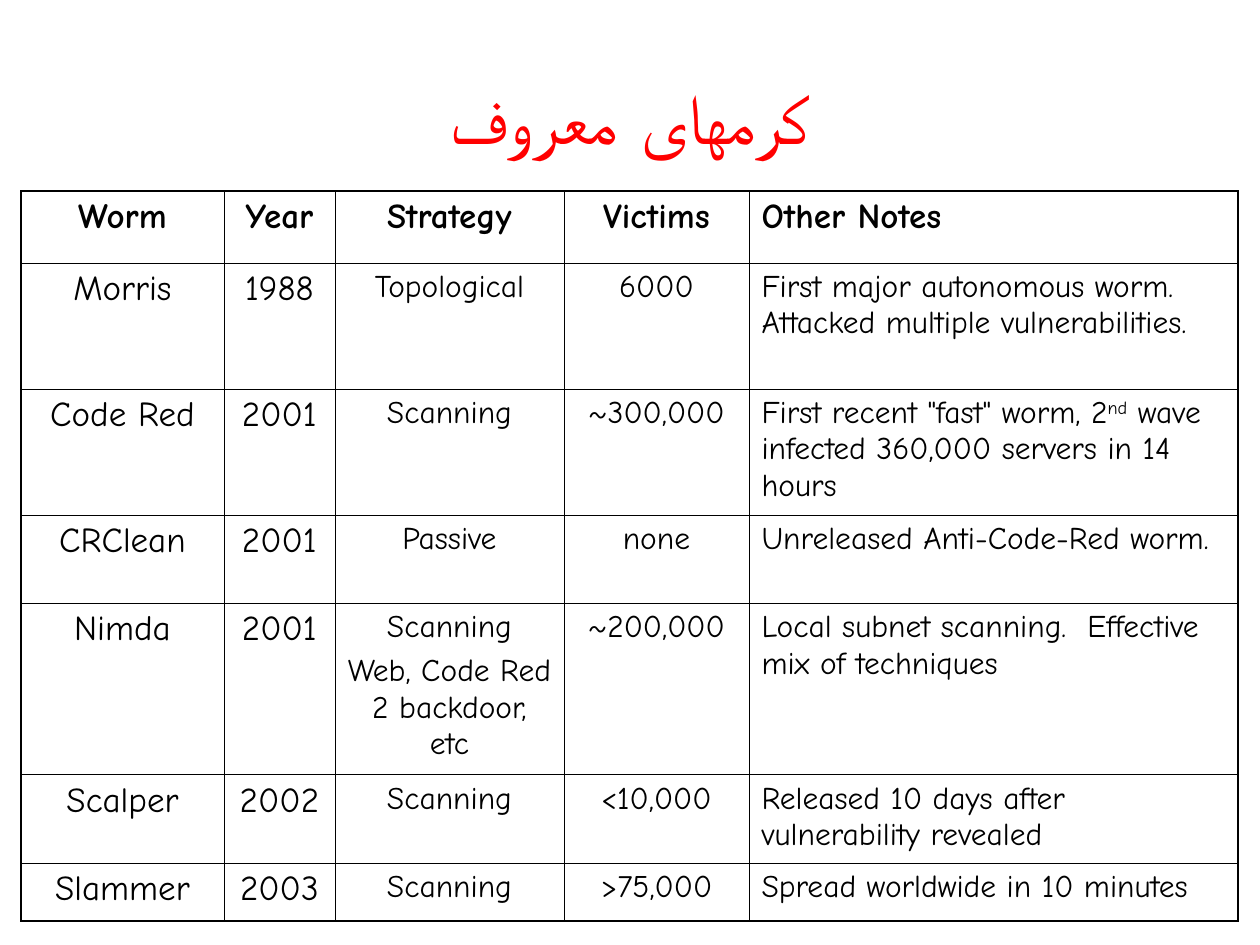
from lxml import etree
from pptx import Presentation
from pptx.dml.color import RGBColor
from pptx.enum.text import MSO_ANCHOR, PP_ALIGN
from pptx.oxml.ns import qn
from pptx.util import Pt

CENTER, LEFT = PP_ALIGN.CENTER, PP_ALIGN.LEFT
MIDDLE = MSO_ANCHOR.MIDDLE
FONT = "Comic Neue"
BLACK, RED = "000000", "FF0000"
EMU_PER_PX = 914400 / 126
THIN, THICK = 0.45, 1.08

COLUMN_WIDTHS = [203, 111, 229, 185, 489]
ROW_HEIGHTS = [72, 126, 126, 88, 171, 88, 58]
ROWS = [
    ["Worm", "Year", "Strategy", "Victims", "Other Notes"],
    ["Morris", "1988", "Topological", "6000",
     "First major autonomous worm.  Attacked multiple vulnerabilities."],
    ["Code Red", "2001", "Scanning", "~300,000",
     [("First recent \"fast\" worm, 2", 0), ("nd", 30),
      (" wave infected 360,000 servers in 14 hours", 0)]],
    ["CRClean", "2001", "Passive", "none", "Unreleased Anti-Code-Red worm."],
    ["Nimda", "2001", "Scanning\nWeb, Code Red 2 backdoor, etc", "~200,000",
     "Local subnet scanning.  Effective mix of techniques"],
    ["Scalper", "2002", "Scanning", "<10,000",
     "Released 10 days after vulnerability revealed"],
    ["Slammer", "2003", "Scanning", ">75,000", "Spread worldwide in 10 minutes"],
]


def px(length):
    """Turn pixels into EMU."""
    return round(length * EMU_PER_PX)


def color(value):
    """Turn a hex string into a colour."""
    return RGBColor.from_string(value)


def write_text(frame, text, size=18, fill=BLACK, bold=False, align=CENTER,
               before=0, after=0):
    """Write a string, or (string, baseline percent) pieces, into a text frame."""
    frame.word_wrap = True
    lines = [[(line, 0)] for line in text.split("\n")] if isinstance(text, str) else [text]
    for index, pieces in enumerate(lines):
        paragraph = frame.add_paragraph() if index else frame.paragraphs[0]
        paragraph.alignment = align
        paragraph.space_before, paragraph.space_after = Pt(before), Pt(after)
        for content, baseline in pieces:
            run = paragraph.add_run()
            run.text = content
            run.font.size, run.font.bold, run.font.name = Pt(size), bold, FONT
            run.font.color.rgb = color(fill)
            properties = run._r.get_or_add_rPr()
            etree.SubElement(properties, qn("a:cs"), typeface=FONT)
            if baseline:
                properties.set("baseline", str(baseline * 1000))


def set_borders(cell, widths):
    """Draw the cell's borders with the given widths in points by side."""
    properties = cell._tc.get_or_add_tcPr()
    for side, width in widths.items():
        line = etree.SubElement(properties, qn(f"a:ln{side}"), w=str(Pt(width)))
        solid = etree.SubElement(line, qn("a:solidFill"))
        etree.SubElement(solid, qn("a:srgbClr"), val=BLACK)


def add_title(slide, left, top, width, height):
    """Place the red heading in its box."""
    box = slide.shapes.add_textbox(px(left), px(top), px(width), px(height))
    box.text_frame.vertical_anchor = MIDDLE
    write_text(box.text_frame, "کرمهای معروف", size=40, fill=RED, before=12, after=3)


def add_worm_table(slide, left, top):
    """Place the table of worms with its upper left corner at the given point."""
    last_row, last_column = len(ROWS) - 1, len(COLUMN_WIDTHS) - 1
    table = slide.shapes.add_table(
        len(ROWS), len(COLUMN_WIDTHS), px(left), px(top),
        px(sum(COLUMN_WIDTHS)), px(sum(ROW_HEIGHTS))).table
    table.first_row = table.horz_banding = False
    for column, width in zip(table.columns, COLUMN_WIDTHS):
        column.width = px(width)
    for row_index, texts in enumerate(ROWS):
        table.rows[row_index].height = px(ROW_HEIGHTS[row_index])
        for column_index, text in enumerate(texts):
            cell = table.cell(row_index, column_index)
            set_borders(cell, {
                "L": THICK if column_index == 0 else THIN,
                "R": THICK if column_index == last_column else THIN,
                "T": THICK if row_index == 0 else THIN,
                "B": THICK if row_index == last_row else THIN,
            })
            cell.fill.background()
            size = 20 if row_index == 0 or column_index < 2 else 18
            write_text(cell.text_frame, text, size=size, bold=row_index == 0,
                       align=LEFT if column_index == last_column else CENTER,
                       before=size / 4)


def main():
    """Build and save the presentation."""
    presentation = Presentation()
    presentation.slide_width, presentation.slide_height = px(1260), px(945)
    slide = presentation.slides.add_slide(presentation.slide_layouts[6])
    add_title(slide, 63, 38, 1134, 157)
    add_worm_table(slide, 21, 191)
    presentation.save("out.pptx")


if __name__ == "__main__":
    main()
